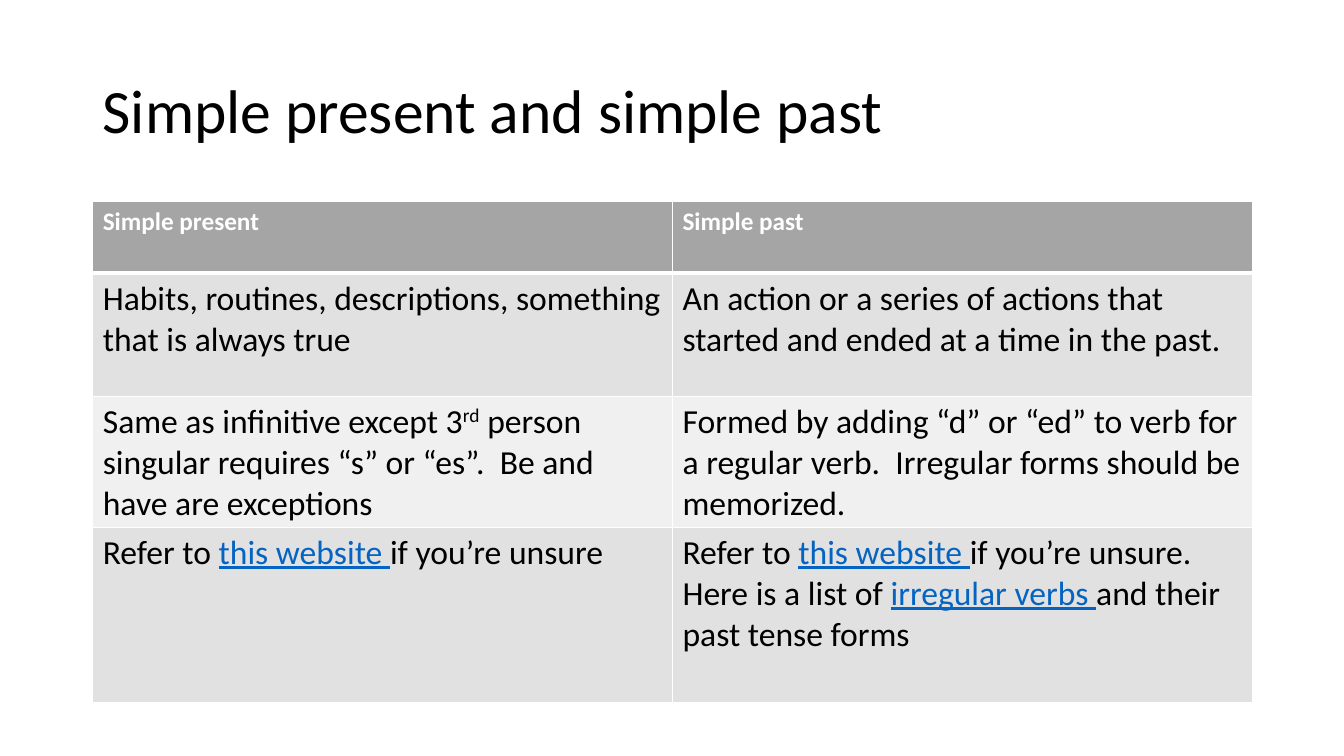
import lxml.etree
import pptx
import pptx.dml.color
import pptx.enum.text
import pptx.oxml.ns
import pptx.util
from pptx.util import Inches

LEFT, WIDTH = 0.92, 11.5
ROW_HEIGHTS = [0.71, 1.22, 1.22, 1.74]
ROW_FILLS = ["A5A5A5", "E1E1E1", "F0F0F0", "E1E1E1"]

TITLE = {"name": "Calibri", "size": 44, "color": "000000"}
HEADER = {"name": "Calibri", "size": 18, "bold": True, "color": "FFFFFF"}
BODY = {"name": "Calibri", "size": 24, "bold": False, "color": "000000"}
LINK = {**BODY, "color": "0563C1", "underline": True}
SUPERSCRIPT = {**BODY, "baseline": "30000"}

# Each cell is a list of paragraphs, each paragraph a list of (text, format)
WEBSITE = [("Refer to ", BODY), ("this website ", LINK)]
TENSES = [
    [
        [[("Simple present", HEADER)]],
        [[("Simple past", HEADER)]],
    ],
    [
        [[("Habits, routines, descriptions, something that is always true", BODY)]],
        [[("An action or a series of actions that started and ended "
           "at a time in the past.", BODY)]],
    ],
    [
        [[("Same as infinitive except 3", BODY), ("rd", SUPERSCRIPT),
          (" person singular requires “s” or “es”.  Be and have are exceptions", BODY)]],
        [[("Formed by adding “d” or “ed” to verb for a regular verb.  "
           "Irregular forms should be memorized.", BODY)]],
    ],
    [
        [WEBSITE + [("if you’re unsure", BODY)]],
        [WEBSITE + [("if you’re unsure.", BODY)],
         [("Here is a list of ", BODY), ("irregular verbs ", LINK),
          ("and their past tense forms", BODY)]],
    ],
]


def color(value):
    return pptx.dml.color.RGBColor.from_string(value)


def add_run(paragraph, text, style):
    run = paragraph.add_run()
    run.text = text
    for key, value in style.items():
        if key == "color":
            run.font.color.rgb = color(value)
        elif key == "size":
            run.font.size = pptx.util.Pt(value)
        elif key == "baseline":
            run._r.get_or_add_rPr().set("baseline", value)
        else:
            setattr(run.font, key, value)


def fill_text(frame, paragraphs):
    for index, runs in enumerate(paragraphs):
        paragraph = frame.add_paragraph() if index else frame.paragraphs[0]
        for text, style in runs:
            add_run(paragraph, text, style)


def set_borders(cell, widths):
    properties = cell._tc.get_or_add_tcPr()
    for side, width in widths.items():
        line = lxml.etree.SubElement(properties, pptx.oxml.ns.qn(f"a:ln{side}"))
        line.set("w", str(pptx.util.Pt(width)))
        solid = lxml.etree.SubElement(line, pptx.oxml.ns.qn("a:solidFill"))
        lxml.etree.SubElement(solid, pptx.oxml.ns.qn("a:srgbClr")).set("val", "FFFFFF")


def add_title(slide, text):
    box = slide.shapes.add_textbox(Inches(LEFT), Inches(0.4), Inches(WIDTH), Inches(1.45))
    frame = box.text_frame
    frame.word_wrap = True
    frame.vertical_anchor = pptx.enum.text.MSO_ANCHOR.MIDDLE
    fill_text(frame, [[(text, TITLE)]])
    frame.paragraphs[0].line_spacing = 0.9


def add_tense_table(slide):
    table = slide.shapes.add_table(
        len(TENSES), len(TENSES[0]), Inches(LEFT), Inches(2),
        Inches(WIDTH), Inches(sum(ROW_HEIGHTS))).table
    for row_index, row in enumerate(TENSES):
        table.rows[row_index].height = Inches(ROW_HEIGHTS[row_index])
        # The line below the header is thicker
        widths = {"L": 1, "R": 1,
                  "T": 3 if row_index == 1 else 1,
                  "B": 3 if row_index == 0 else 1}
        for column_index, paragraphs in enumerate(row):
            cell = table.cell(row_index, column_index)
            set_borders(cell, widths)
            cell.fill.solid()
            cell.fill.fore_color.rgb = color(ROW_FILLS[row_index])
            fill_text(cell.text_frame, paragraphs)


def main():
    presentation = pptx.Presentation()
    presentation.slide_width = Inches(13.33)
    presentation.slide_height = Inches(7.5)
    slide = presentation.slides.add_slide(presentation.slide_layouts[6])
    add_title(slide, "Simple present and simple past")
    add_tense_table(slide)
    presentation.save("out.pptx")


if __name__ == "__main__":
    main()
